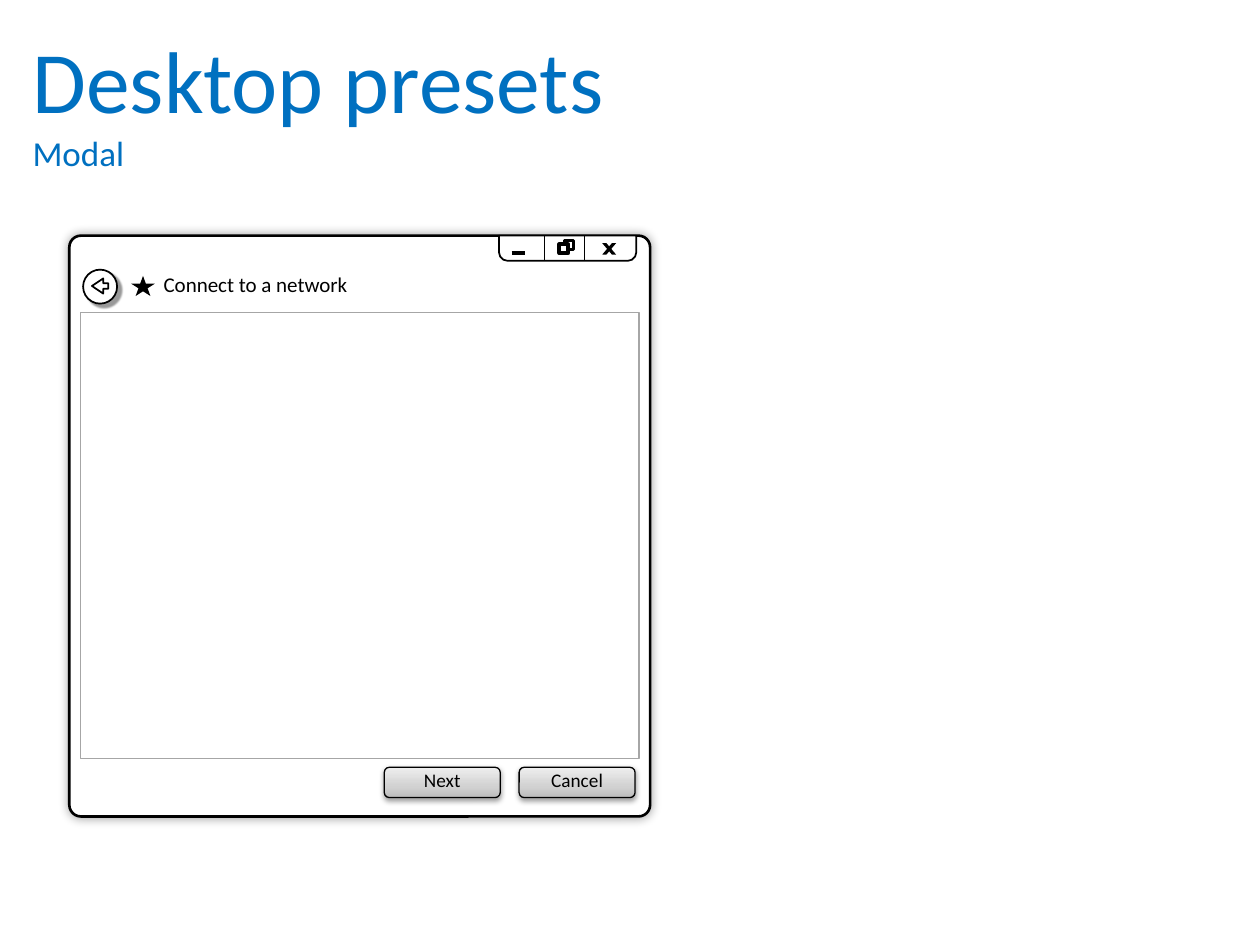
from lxml import etree
from pptx import Presentation
from pptx.dml.color import RGBColor
from pptx.enum import shapes, text
from pptx.oxml.ns import qn
from pptx.util import Inches, Pt

# Grid of 100 columns by 75 rows
CELL = Inches(0.1)
KIND = shapes.MSO_SHAPE
BLACK, WHITE, GREY, BLUE = "000000", "FFFFFF", "A6A6A6", "0070C0"
BUTTON_STOPS = [(0, "BDBDBD"), (35, "D1D1D1"), (100, "EEEEEE")]


def grid(*cells):
    return [round(cell * CELL) for cell in cells]


def rgb(value):
    return RGBColor.from_string(value)


def add_color(parent, value):
    return etree.SubElement(parent, qn("a:srgbClr"), val=value)


def add_shadow(shape, opacity, blur, distance, angle):
    effects = shape.element.spPr.find(qn("a:effectLst"))
    outer = etree.SubElement(
        effects, qn("a:outerShdw"), blurRad=str(Pt(blur)), dist=str(Pt(distance)),
        dir=str(angle * 60000), algn="ctr", rotWithShape="0")
    etree.SubElement(add_color(outer, BLACK), qn("a:alpha"), val=str(opacity * 1000))


def add_gradient(shape, stops, angle):
    shape.fill.gradient()
    shape.fill.gradient_angle = angle
    stop_list = shape.element.spPr.find(qn("a:gradFill")).find(qn("a:gsLst"))
    for stop in list(stop_list):
        stop_list.remove(stop)
    for position, color in stops:
        add_color(etree.SubElement(stop_list, qn("a:gs"), pos=str(position * 1000)), color)


def add_shape(slide, kind, box, fill=WHITE, line=BLACK, width=1, adjust=()):
    shape = slide.shapes.add_shape(kind, *grid(*box))
    shape.shadow.inherit = False
    shape.fill.solid()
    shape.fill.fore_color.rgb = rgb(fill)
    if line:
        shape.line.color.rgb = rgb(line)
        shape.line.width = Pt(width)
    else:
        shape.line.fill.background()
    for index, value in enumerate(adjust):
        shape.adjustments[index] = value
    return shape


def add_line(slide, start, end, width):
    line = slide.shapes.add_connector(shapes.MSO_CONNECTOR.STRAIGHT, *grid(*start, *end))
    line.line.color.rgb = rgb(BLACK)
    line.line.width = Pt(width)
    etree.SubElement(line.element.spPr, qn("a:effectLst"))


def write(frame, lines, color, align=text.PP_ALIGN.LEFT):
    frame.word_wrap = True
    for index, (words, size) in enumerate(lines):
        paragraph = frame.add_paragraph() if index else frame.paragraphs[0]
        paragraph.text = words
        paragraph.alignment = align
        paragraph.font.name = "Calibri"
        paragraph.font.size = Pt(size)
        paragraph.font.color.rgb = rgb(color)


def add_text(slide, box, lines, color):
    frame = slide.shapes.add_textbox(*grid(*box)).text_frame
    frame.auto_size = text.MSO_AUTO_SIZE.SHAPE_TO_FIT_TEXT
    write(frame, lines, color)


def add_button(slide, left, label):
    button = add_shape(slide, KIND.ROUNDED_RECTANGLE, (left, 60.9, 9.2, 2.4), width=0.75)
    add_gradient(button, BUTTON_STOPS, 90)
    add_shadow(button, 38, 3.1, 1.6, 90)
    frame = button.text_frame
    frame.margin_top, frame.margin_bottom = 0, Inches(0.04)
    frame.vertical_anchor = text.MSO_ANCHOR.MIDDLE
    write(frame, [(label, 11)], BLACK, text.PP_ALIGN.CENTER)


def add_window_controls(slide):
    bar = add_shape(slide, KIND.ROUND_2_SAME_RECTANGLE, (39.6, 18.7, 10.9, 2),
                    adjust=(0.344, 0))
    bar.rotation = 180
    for divider in (46.4, 43.2):
        add_line(slide, (divider, 20.7), (divider, 18.7), 0.75)

    # Restore: two overlapping panes
    for left, top, width in ((44.8, 19.1, 1.5), (44.4, 19.4, 2.25)):
        add_shape(slide, KIND.RECTANGLE, (left, top, 0.7, 0.7), width=width)

    # Close: two mirrored strokes
    for mirrored in (False, True):
        stroke = add_shape(slide, KIND.PARALLELOGRAM, (47.8, 19.3, 1.1, 0.9),
                           fill=BLACK, line=None, adjust=(0.851,))
        if mirrored:
            stroke.element.spPr.find(qn("a:xfrm")).set("flipH", "1")

    # Minimize
    add_line(slide, (40.6, 20.1), (41.7, 20.1), 2.25)


def add_back_button(slide):
    disc = add_shape(slide, KIND.OVAL, (6.6, 21.4, 2.7, 2.7))
    add_shadow(disc, 40, 1, 3, 45)
    add_shape(slide, KIND.LEFT_ARROW, (7.3, 22.1, 1.3, 1.2), adjust=(0.354, 0.749))


def main():
    deck = Presentation()
    deck.slide_width, deck.slide_height = grid(100, 75)
    slide = deck.slides.add_slide(deck.slide_layouts[6])

    # Window frame
    window = add_shape(slide, KIND.ROUNDED_RECTANGLE, (5.5, 18.7, 46.1, 46.1),
                       width=1.5, adjust=(0.02,))
    add_shadow(window, 37, 6, 0, 0)
    add_window_controls(slide)

    # Window heading and content pane
    add_shape(slide, KIND.STAR_5_POINT, (10.4, 21.9, 1.9, 1.6), fill=BLACK, line=None)
    add_text(slide, (12, 21.1, 37.4, 3), [("Connect to a network", 12)], BLACK)
    add_shape(slide, KIND.RECTANGLE, (6.4, 24.8, 44.3, 35.4), line=GREY)
    add_back_button(slide)

    # Slide title
    add_text(slide, (1.6, 1.6, 96.9, 12.8), [("Desktop presets", 50), ("Modal", 20)], BLUE)

    # Dialog buttons
    for column, label in enumerate(("Next", "Cancel")):
        add_button(slide, 30.5 + column * 10.7, label)

    deck.save("out.pptx")


main()
